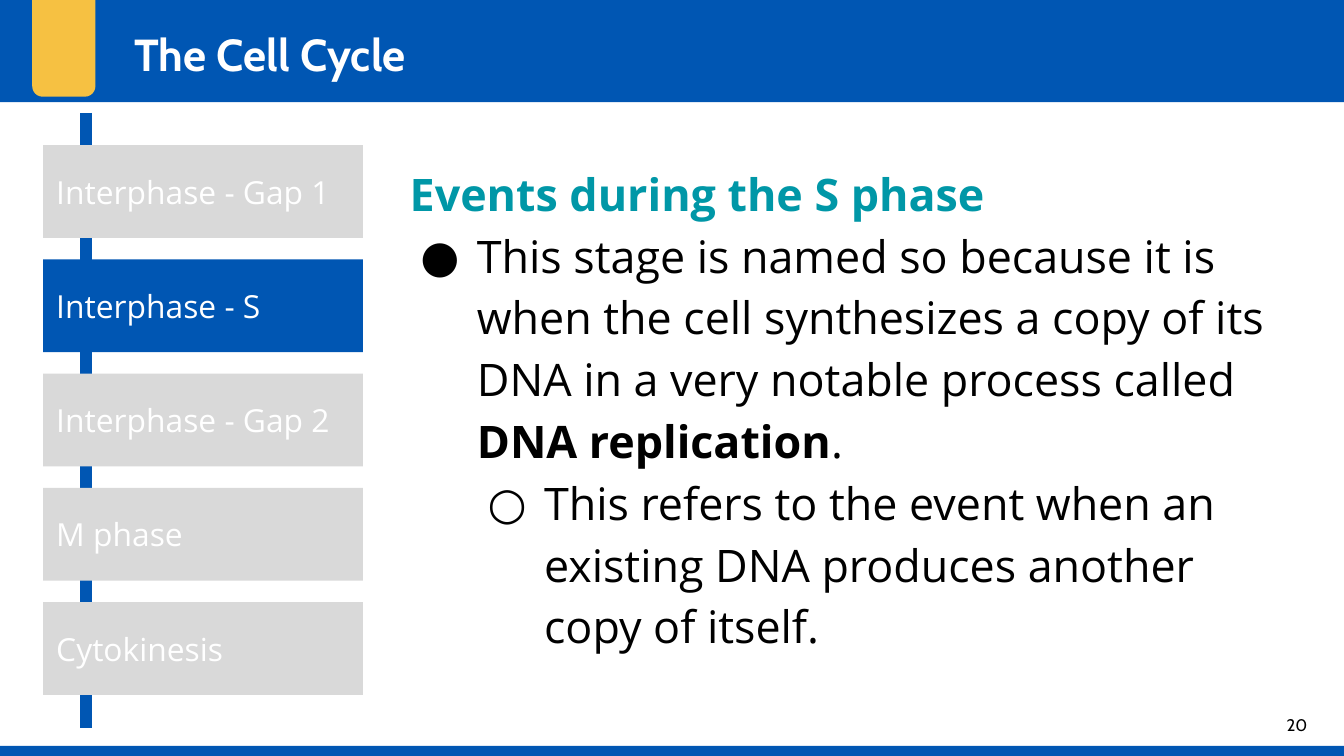
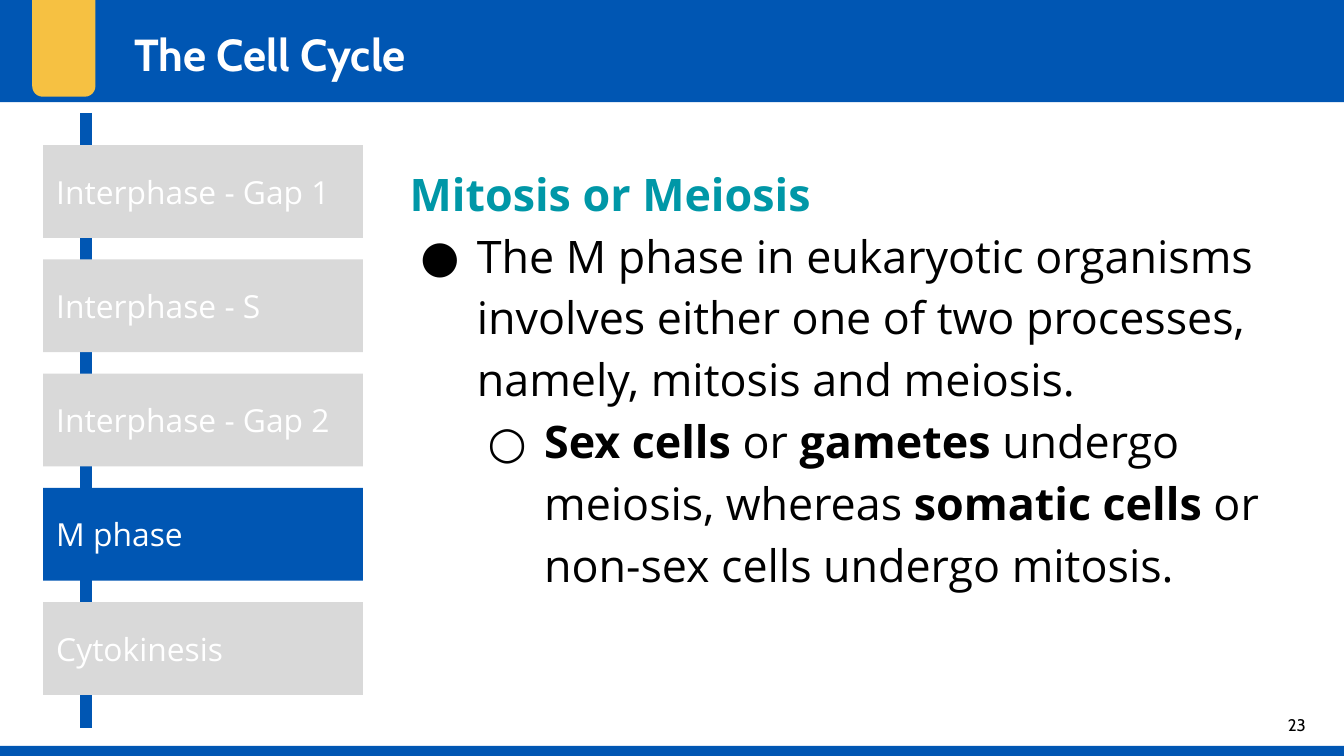
from dataclasses import dataclass
from typing import Any, Optional

from lxml import etree
from pptx import Presentation
from pptx.dml.color import RGBColor
from pptx.enum import shapes, text
from pptx.oxml import ns
from pptx import util as u

# Grid: 100 columns by 56.25 rows, each a tenth of an inch
COLUMNS, ROWS = 100, 56.25
WIDTH, HEIGHT = u.Inches(10), u.Inches(5.625)

COLORS = {
    "blue": "0056B3",
    "yellow": "F6C142",
    "grey": "D9D9D9",
    "teal": "0097A7",
    "black": "000000",
    "white": "FFFFFF",
}
PHASES = ["Interphase - Gap 1", "Interphase - S", "Interphase - Gap 2", "M phase", "Cytokinesis"]
PHASE_TOP, PHASE_PITCH = 10.8, 8.5
BULLETS = ["", "●", "○"]


@dataclass(frozen=True)
class Area:
    col: float
    row: float
    cols: float
    rows: float

    def lengths(self) -> tuple[int, int, int, int]:
        return across(self.col), down(self.row), across(self.cols), down(self.rows)


@dataclass(frozen=True)
class Style:
    size: float
    font: str
    color: str
    bold: bool = False


@dataclass(frozen=True)
class Band:
    area: Area
    color: str
    rounding: Optional[float] = None


@dataclass(frozen=True)
class Topic:
    number: int
    phase: str
    heading: str
    points: tuple[str, ...]  # one per bullet level; ** marks bold words


BANDS = [
    Band(Area(-0.1, -0.1, 100.1, 7.7), "blue"),
    Band(Area(2.4, -1.2, 4.7, 8.4), "yellow", 0.167),
    Band(Area(-0.1, 55.5, 100.1, 0.75), "blue"),
]
TITLE = Style(24, "Cabin", "white", True)
PAGE_NUMBER = Style(9, "Cabin", "black")
PHASE = Style(17, "Open Sans", "white")
HEADING = Style(24, "Open Sans", "teal", True)
BODY = Style(24, "Open Sans", "black")
STRONG = Style(24, "Open Sans", "black", True)

TOPICS = [
    Topic(20, "Interphase - S", "Events during the S phase", (
        "This stage is named so because it is when the cell synthesizes a copy of its DNA "
        "in a very notable process called **DNA replication**.",
        "This refers to the event when an existing DNA produces another copy of itself.",
    )),
    Topic(23, "M phase", "Mitosis or Meiosis", (
        "The M phase in eukaryotic organisms involves either one of two processes, "
        "namely, mitosis and meiosis.",
        "**Sex cells **or **gametes** undergo meiosis, whereas **somatic cells** "
        "or non-sex cells undergo mitosis.",
    )),
]


def across(cols: float) -> int:
    return round(WIDTH * cols / COLUMNS)


def down(rows: float) -> int:
    return round(HEIGHT * rows / ROWS)


def rgb(name: str) -> RGBColor:
    return RGBColor.from_string(COLORS[name])


def apply(target: Any, values: dict[str, Any]) -> None:
    for key, value in values.items():
        setattr(target, key, value)


def add_run(paragraph: Any, words: str, style: Style) -> None:
    run = paragraph.add_run()
    run.text = words
    apply(run.font, {"size": u.Pt(style.size), "name": style.font, "bold": style.bold})
    run.font.color.rgb = rgb(style.color)


def set_frame(frame: Any, anchor: Any) -> None:
    margin = across(1)
    apply(frame, {
        "word_wrap": True, "vertical_anchor": anchor,
        "margin_left": margin, "margin_right": margin,
        "margin_top": margin, "margin_bottom": margin,
    })


def add_label(slide: Any, area: Area, words: str, style: Style,
              anchor: Any = text.MSO_ANCHOR.TOP, align: Any = text.PP_ALIGN.LEFT) -> None:
    frame = slide.shapes.add_textbox(*area.lengths()).text_frame
    set_frame(frame, anchor)
    frame.paragraphs[0].alignment = align
    add_run(frame.paragraphs[0], words, style)


def add_band(slide: Any, band: Band) -> Any:
    kind = shapes.MSO_SHAPE.RECTANGLE if band.rounding is None else shapes.MSO_SHAPE.ROUNDED_RECTANGLE
    shape = slide.shapes.add_shape(kind, *band.area.lengths())
    shape.shadow.inherit = False
    shape.fill.solid()
    shape.fill.fore_color.rgb = rgb(band.color)
    shape.line.fill.background()
    if band.rounding is not None:
        shape.adjustments[0] = band.rounding
    return shape


def add_timeline(slide: Any, current: str) -> None:
    # Vertical line behind the phases
    ends = across(6.4), down(8.4), across(6.4), down(54.2)
    spine = slide.shapes.add_connector(shapes.MSO_CONNECTOR.STRAIGHT, *ends)
    spine.line.color.rgb = rgb("blue")
    spine.line.width = u.Pt(6)
    etree.SubElement(spine._element.spPr, ns.qn("a:effectLst"))

    # Phases, with the current one in blue
    for index, phase in enumerate(PHASES):
        area = Area(3.2, PHASE_TOP + index * PHASE_PITCH, 23.8, 6.9)
        box = add_band(slide, Band(area, "blue" if phase == current else "grey"))
        set_frame(box.text_frame, text.MSO_ANCHOR.MIDDLE)
        box.text_frame.paragraphs[0].alignment = text.PP_ALIGN.LEFT
        add_run(box.text_frame.paragraphs[0], phase, PHASE)


def set_bullet(paragraph: Any, level: int) -> None:
    paragraph.level = level - 1
    properties = paragraph._p.get_or_add_pPr()
    properties.set("marL", str(across(5 * level)))
    properties.set("indent", str(-across(4.2)))
    color = etree.SubElement(properties, ns.qn("a:buClr"))
    etree.SubElement(color, ns.qn("a:srgbClr"), val=COLORS["black"])
    etree.SubElement(properties, ns.qn("a:buFont"), typeface=BODY.font)
    etree.SubElement(properties, ns.qn("a:buChar"), char=BULLETS[level])


def add_events(slide: Any, topic: Topic) -> None:
    frame = slide.shapes.add_textbox(*Area(29.5, 10.8, 67.1, 40.3).lengths()).text_frame
    set_frame(frame, text.MSO_ANCHOR.TOP)
    heading = frame.paragraphs[0]
    heading.line_spacing = 1.15
    add_run(heading, topic.heading, HEADING)
    for level, point in enumerate(topic.points, start=1):
        paragraph = frame.add_paragraph()
        set_bullet(paragraph, level)
        paragraph.line_spacing = 1.15
        for index, words in enumerate(point.split("**")):
            if words:
                add_run(paragraph, words, STRONG if index % 2 else BODY)


def add_topic(deck: Any, topic: Topic) -> None:
    slide = deck.slides.add_slide(deck.slide_layouts[6])
    for band in BANDS:
        add_band(slide, band)
    add_label(slide, Area(93.5, 51.8, 6, 4.3), str(topic.number), PAGE_NUMBER,
              text.MSO_ANCHOR.MIDDLE, text.PP_ALIGN.CENTER)
    add_label(slide, Area(9, 1, 72.2, 5.7), "The Cell Cycle", TITLE)
    add_timeline(slide, topic.phase)
    add_events(slide, topic)


def main() -> None:
    deck = Presentation()
    apply(deck, {"slide_width": WIDTH, "slide_height": HEIGHT})
    for topic in TOPICS:
        add_topic(deck, topic)
    deck.save("out.pptx")


if __name__ == "__main__":
    main()
